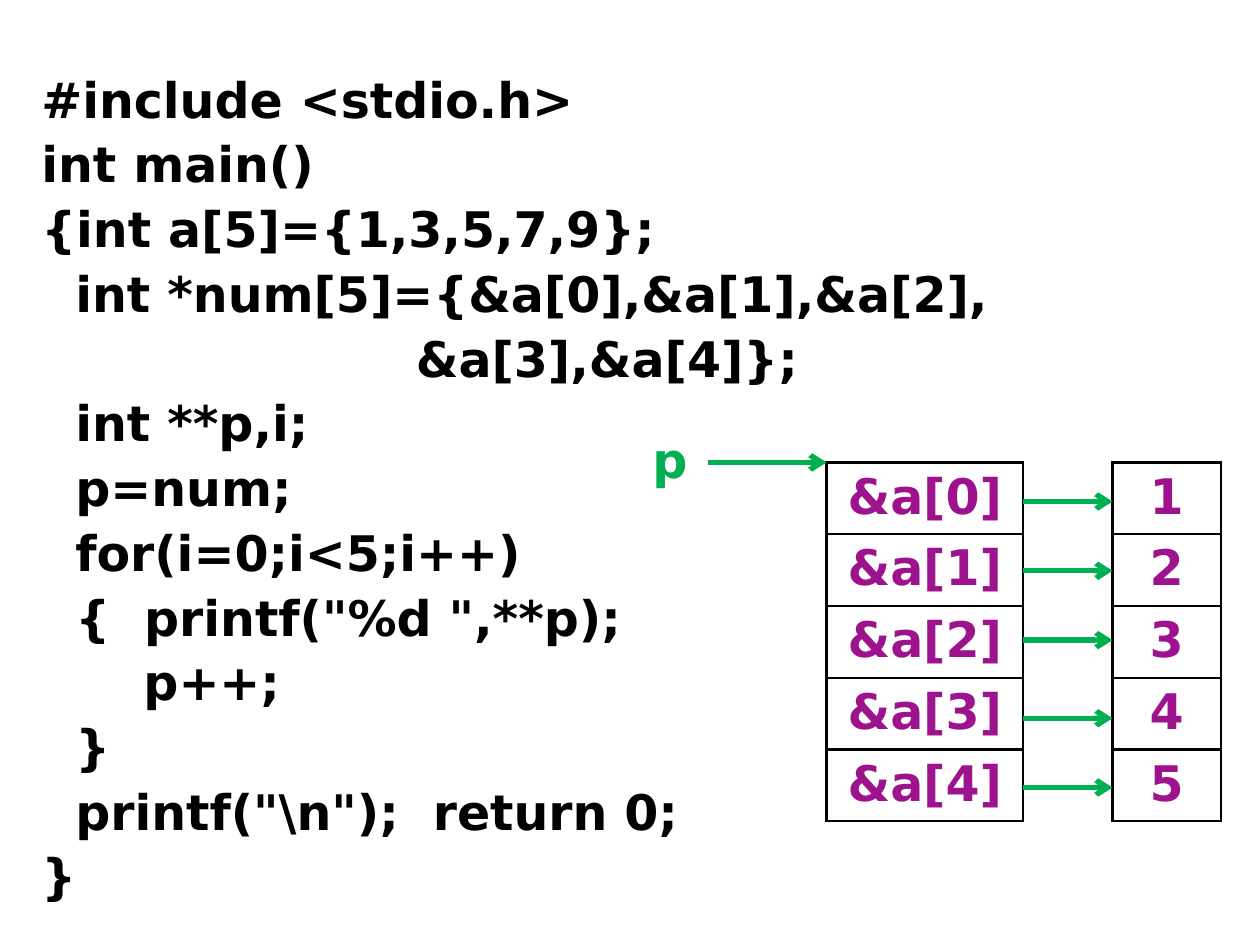
from dataclasses import dataclass

from lxml import etree
from pptx import Presentation
from pptx.dml.color import RGBColor
from pptx.enum.shapes import MSO_CONNECTOR
from pptx.enum.text import PP_ALIGN
from pptx.oxml.ns import qn
from pptx.util import Inches, Pt

BLACK = RGBColor(0x00, 0x00, 0x00)
WHITE = RGBColor(0xFF, 0xFF, 0xFF)
GREEN = RGBColor(0x00, 0xB0, 0x50)
PURPLE = RGBColor(0x9D, 0x13, 0x8D)
LEFT, CENTER = PP_ALIGN.LEFT, PP_ALIGN.CENTER
STRAIGHT = MSO_CONNECTOR.STRAIGHT
FONT = "DejaVu Sans"

ARRAY_TOP = 3.67
ROW_HEIGHT = 0.57

CODE = r"""#include <stdio.h>
int main()
{int a[5]={1,3,5,7,9};
  int *num[5]={&a[0],&a[1],&a[2],
                      &a[3],&a[4]};
  int **p,i;
  p=num;
  for(i=0;i<5;i++)
  {  printf("%d ",**p);
      p++;
  }
  printf("\n");  return 0;
}"""


@dataclass
class Array:
    left: float
    width: float
    values: list[str]

    @property
    def right(self) -> float:
        return self.left + self.width


@dataclass
class Arrow:
    x1: float
    x2: float
    y: float


POINTERS = Array(6.56, 1.56, [f"&a[{i}]" for i in range(5)])
NUMBERS = Array(8.83, 0.86, [str(i) for i in range(1, 6)])
ARROWS = [Arrow(5.62, POINTERS.left, ARRAY_TOP)] + [
    Arrow(POINTERS.right, NUMBERS.left, y) for y in (3.98, 4.53, 5.08, 5.7, 6.25)
]


def write(p, text: str, *, color: RGBColor, align=LEFT, size: float = 28) -> None:
    p.alignment = align
    r = p.add_run()
    r.text = text
    r.font.name = FONT
    r.font.size = Pt(size)
    r.font.bold = True
    r.font.color.rgb = color


def add_text(slide, left: float, top: float, width: float, height: float):
    sp = slide.shapes.add_textbox(Inches(left), Inches(top), Inches(width), Inches(height))
    tf = sp.text_frame
    tf.word_wrap = True
    return tf


def add_code(slide) -> None:
    tf = add_text(slide, 0.23, 0.55, 8.44, 6.56)
    for i, line in enumerate(CODE.splitlines()):
        p = tf.add_paragraph() if i else tf.paragraphs[0]
        p.line_spacing = Pt(30)
        p.space_before = Pt(7 if i else 0)
        write(p, line, color=BLACK)


def set_borders(cell, color: RGBColor, width: float) -> None:
    tcPr = cell._tc.get_or_add_tcPr()
    for i, side in enumerate(("a:lnL", "a:lnR", "a:lnT", "a:lnB")):
        ln = etree.Element(qn(side), w=str(Pt(width)))
        fill = etree.SubElement(ln, qn("a:solidFill"))
        etree.SubElement(fill, qn("a:srgbClr"), val=str(color))
        tcPr.insert(i, ln)


def add_array(slide, array: Array) -> None:
    count = len(array.values)
    table = slide.shapes.add_table(
        count, 1, Inches(array.left), Inches(ARRAY_TOP),
        Inches(array.width), Inches(ROW_HEIGHT * count)).table
    table.first_row = False
    table.horz_banding = False
    for i, value in enumerate(array.values):
        cell = table.cell(i, 0)
        cell.fill.solid()
        cell.fill.fore_color.rgb = WHITE
        set_borders(cell, BLACK, 1.5)
        write(cell.text_frame.paragraphs[0], value, color=PURPLE, align=CENTER)


def add_arrow(slide, arrow: Arrow) -> None:
    y = Inches(arrow.y)
    cx = slide.shapes.add_connector(STRAIGHT, Inches(arrow.x1), y, Inches(arrow.x2), y)
    cx.line.color.rgb = GREEN
    cx.line.width = Pt(3)
    etree.SubElement(cx.line._get_or_add_ln(), qn("a:tailEnd"), type="arrow")
    etree.SubElement(cx._element.spPr, qn("a:effectLst"))


def main() -> None:
    prs = Presentation()
    prs.slide_width, prs.slide_height = Inches(10), Inches(7.5)
    slide = prs.slides.add_slide(prs.slide_layouts[6])

    # Program listing
    add_code(slide)

    # Pointer array and the numbers it points to
    for array in (POINTERS, NUMBERS):
        add_array(slide, array)

    # Pointer label and arrows
    tf = add_text(slide, 5.08, 3.36, 0.7, 0.57)
    write(tf.paragraphs[0], "p", color=GREEN)
    for arrow in ARROWS:
        add_arrow(slide, arrow)

    prs.save("out.pptx")


if __name__ == "__main__":
    main()
